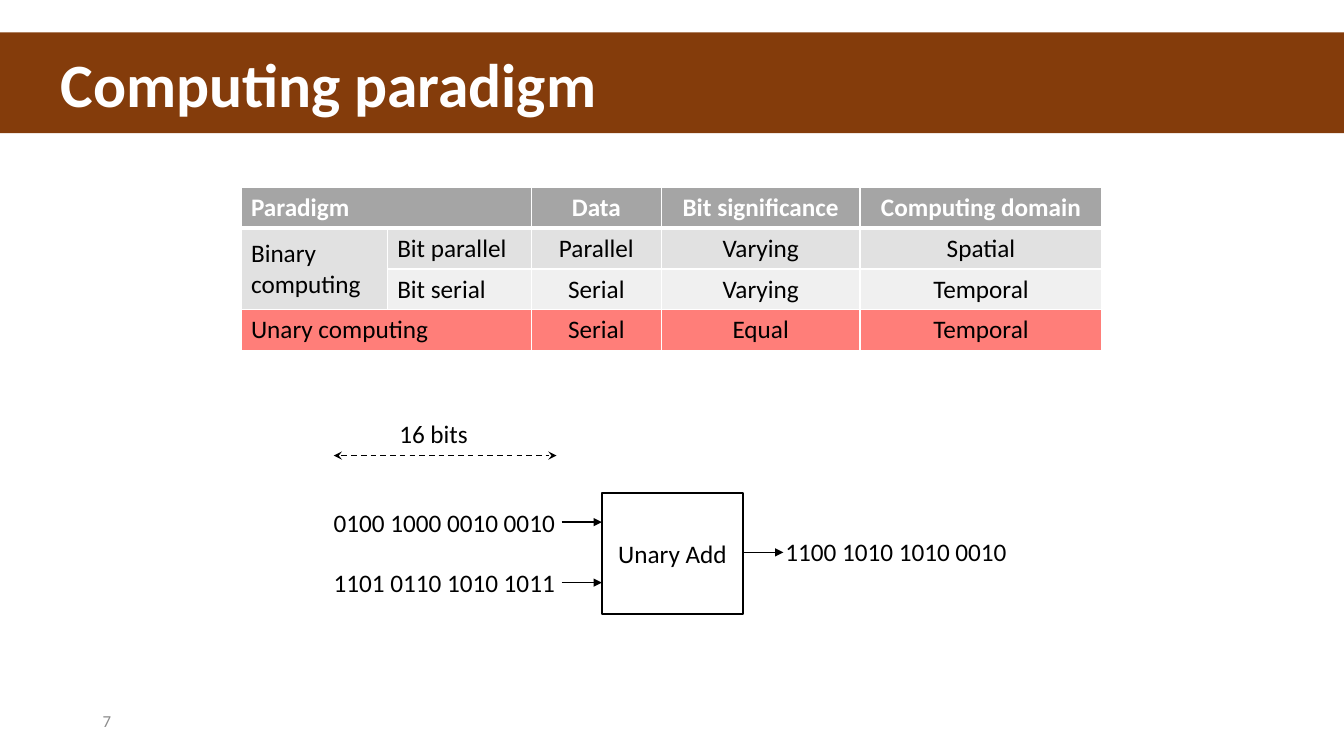
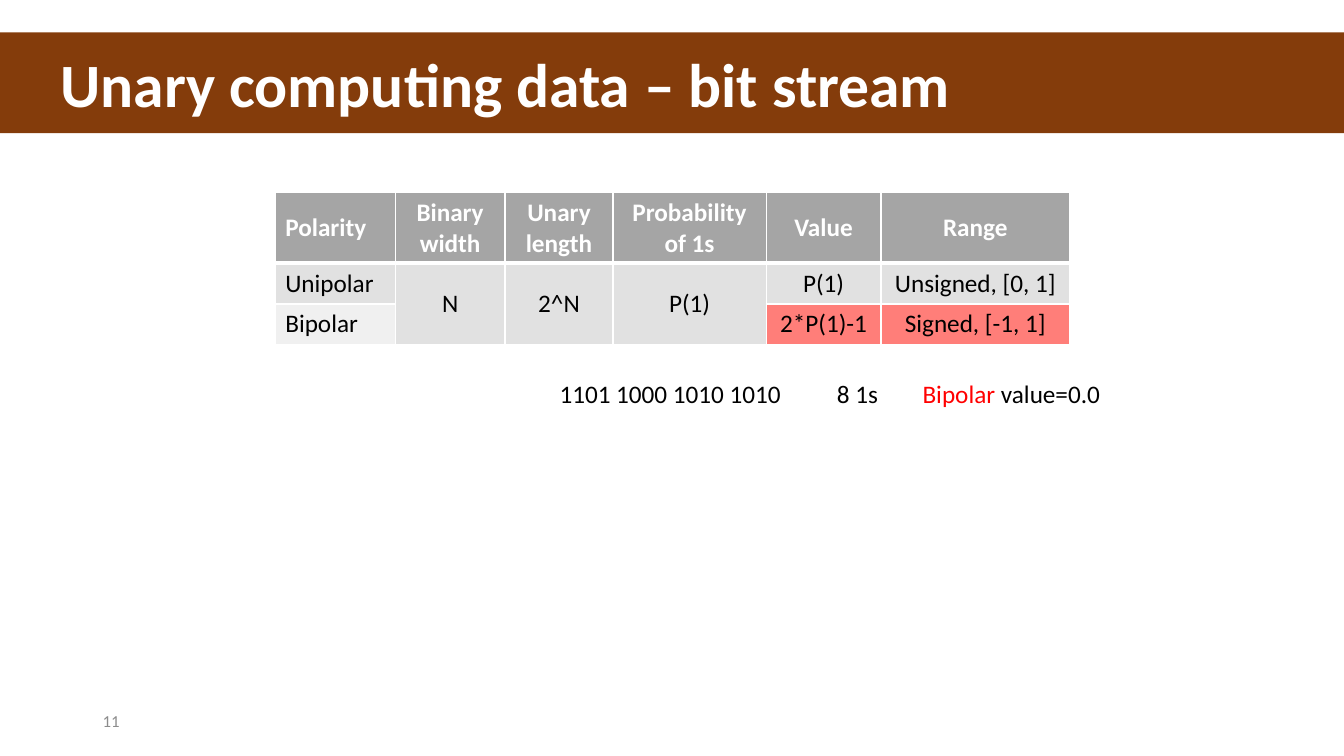
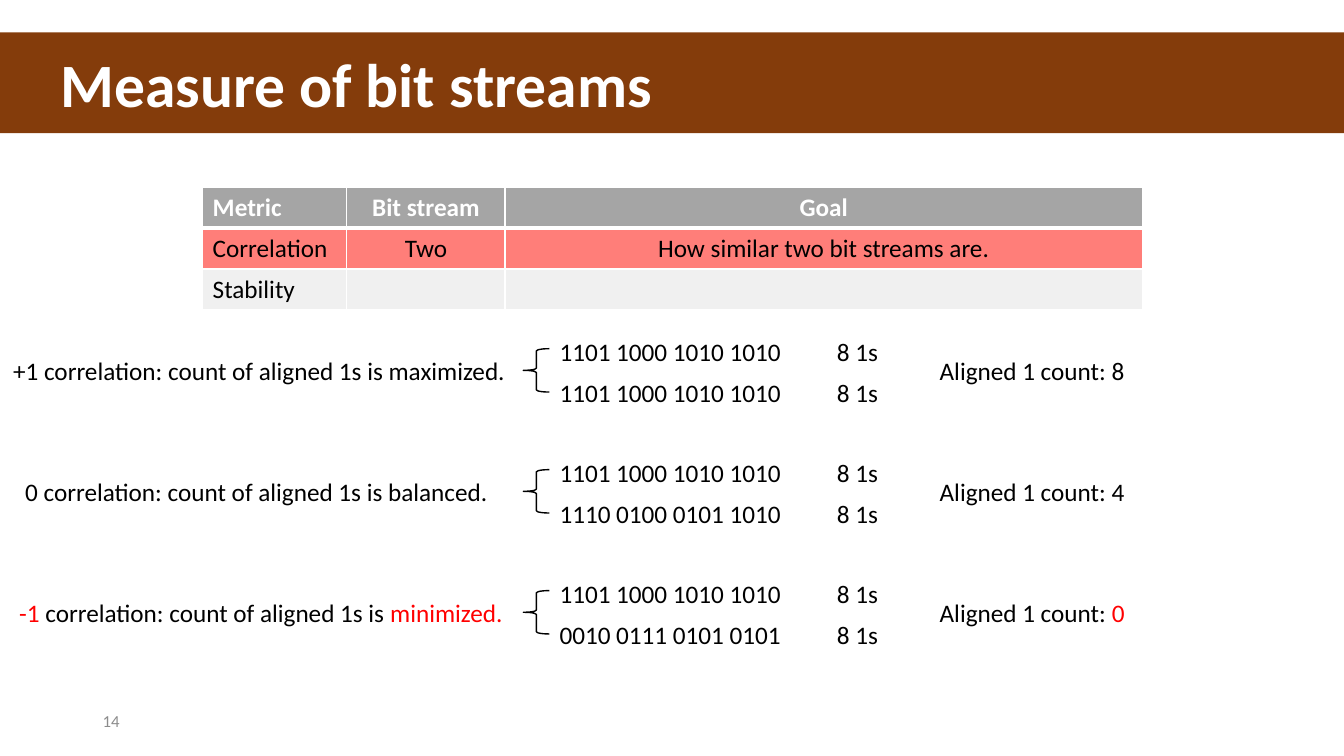
"""Build three slides on unary computing and its bit streams."""
from dataclasses import dataclass, field

from lxml.etree import SubElement
from pptx import Presentation
from pptx.dml.color import RGBColor
from pptx.enum.dml import MSO_LINE_DASH_STYLE as Dash
from pptx.enum.shapes import MSO_CONNECTOR, MSO_SHAPE as Preset
from pptx.enum.text import MSO_ANCHOR as Anchor, MSO_AUTO_SIZE as AutoSize, PP_ALIGN as Align
from pptx.oxml.ns import qn
from pptx.util import Inches, Pt

BROWN = RGBColor(0x84, 0x3C, 0x0B)
WHITE = RGBColor(0xFF, 0xFF, 0xFF)
BLACK = RGBColor(0x00, 0x00, 0x00)
RED = RGBColor(0xFF, 0x00, 0x00)
NUMBER_GRAY = RGBColor(0x8C, 0x8C, 0x8C)
HEADER_GRAY = RGBColor(0xA5, 0xA5, 0xA5)
ODD_GRAY = RGBColor(0xE1, 0xE1, 0xE1)
EVEN_GRAY = RGBColor(0xF0, 0xF0, 0xF0)
HIGHLIGHT = RGBColor(0xFF, 0x7E, 0x79)

FONT = "Calibri"
ROW_HEIGHT = 0.405
STREAM_LEFT = 5.55
STREAM_WIDTH = 2.24


@dataclass(frozen=True)
class Span:
    """A piece of text in one colour."""
    text: str
    color: RGBColor = BLACK


@dataclass(frozen=True)
class Grid:
    """A table with its place, wording, merged ranges and highlighted cells."""
    left: float
    top: float
    widths: list[float]
    rows: list[list[str]]
    header_height: float = ROW_HEIGHT
    left_columns: int = 1
    merges: list[tuple[int, int, int, int]] = field(default_factory=list)
    highlights: set[tuple[int, int]] = field(default_factory=set)


@dataclass(frozen=True)
class Comparison:
    """Two bit streams with their correlation and aligned count."""
    left: float
    label: list[Span]
    streams: tuple[str, str]
    count: Span


def style_font(font, size: float, color: RGBColor, bold: bool = False) -> None:
    """Set the shared font with a size and a colour."""
    font.name = FONT
    font.size = Pt(size)
    font.bold = bold
    font.color.rgb = color


def add_page(deck, title: str, number: int):
    """Add a slide with its title band and page number."""
    page = deck.slides.add_slide(deck.slide_layouts[5])
    band = page.shapes.title
    band.left, band.top = Inches(0), Inches(0.32)
    band.width, band.height = deck.slide_width, Inches(1)
    band.fill.solid()
    band.fill.fore_color.rgb = BROWN
    frame = band.text_frame
    frame.text = title
    frame.auto_size = AutoSize.NONE
    frame.vertical_anchor = Anchor.MIDDLE
    frame.margin_left = Inches(0.6)
    para = frame.paragraphs[0]
    para.alignment = Align.LEFT
    style_font(para.runs[0].font, 44, WHITE, True)

    box = page.shapes.add_textbox(Inches(0.92), Inches(6.95), Inches(3), Inches(0.4))
    box.text_frame.text = str(number)
    box.text_frame.word_wrap = True
    box.text_frame.vertical_anchor = Anchor.MIDDLE
    style_font(box.text_frame.paragraphs[0].runs[0].font, 12, NUMBER_GRAY)
    return page


def add_label(page, left: float, top: float, width: float, *spans: Span) -> None:
    """Add one line of text without insets."""
    box = page.shapes.add_textbox(Inches(left), Inches(top), Inches(width), Inches(0.3))
    frame = box.text_frame
    frame.word_wrap = False
    frame.margin_left = frame.margin_right = frame.margin_top = frame.margin_bottom = 0
    para = frame.paragraphs[0]
    for span in spans:
        run = para.add_run()
        run.text = span.text
        style_font(run.font, 18, span.color)


def add_borders(cell, row: int) -> None:
    """Draw white cell borders, thick below the header row."""
    properties = cell._tc.get_or_add_tcPr()
    for side in "LRTB":
        thick = (row, side) in {(0, "B"), (1, "T")}
        line = SubElement(properties, qn(f"a:ln{side}"), w=str(Pt(3 if thick else 1)))
        fill = SubElement(line, qn("a:solidFill"))
        SubElement(fill, qn("a:srgbClr"), val=str(WHITE))


def add_grid(page, grid: Grid) -> None:
    """Add a table with header, banding, highlights and merged cells."""
    heights = [grid.header_height] + [ROW_HEIGHT] * (len(grid.rows) - 1)
    table = page.shapes.add_table(
        len(heights), len(grid.widths), Inches(grid.left), Inches(grid.top),
        Inches(sum(grid.widths)), Inches(sum(heights))).table
    for column, width in zip(table.columns, grid.widths):
        column.width = Inches(width)
    for row, height in zip(table.rows, heights):
        row.height = Inches(height)
    for r, texts in enumerate(grid.rows):
        for c, text in enumerate(texts):
            cell = table.cell(r, c)
            add_borders(cell, r)
            cell.fill.solid()
            if r == 0:
                color = HEADER_GRAY
            elif (r, c) in grid.highlights:
                color = HIGHLIGHT
            else:
                color = ODD_GRAY if r % 2 else EVEN_GRAY
            cell.fill.fore_color.rgb = color
            cell.vertical_anchor = Anchor.MIDDLE
            cell.text_frame.text = text
            for para in cell.text_frame.paragraphs:
                para.alignment = Align.LEFT if c < grid.left_columns else Align.CENTER
                style_font(para.font, 18, WHITE if r == 0 else BLACK, r == 0)
                for run in para.runs:
                    style_font(run.font, 18, WHITE if r == 0 else BLACK, r == 0)
    for top, left, bottom, right in grid.merges:
        table.cell(top, left).merge(table.cell(bottom, right))


def add_arrow(page, start: float, end: float, y: float, tip: str = "triangle",
              both_ways: bool = False) -> None:
    """Add a horizontal arrow, dashed when it points both ways."""
    arrow = page.shapes.add_connector(
        MSO_CONNECTOR.STRAIGHT, Inches(start), Inches(y), Inches(end), Inches(y))
    arrow.line.color.rgb = BLACK
    arrow.line.width = Pt(1)
    if both_ways:
        arrow.line.dash_style = Dash.DASH
    line = arrow.line._get_or_add_ln()
    for name in ("a:headEnd", "a:tailEnd") if both_ways else ("a:tailEnd",):
        SubElement(line, qn(name), type=tip)
    SubElement(arrow._element.spPr, qn("a:effectLst"))


def add_outline(page, preset, left: float, top: float, width: float, height: float):
    """Add an unfilled shape with a thin black line."""
    shape = page.shapes.add_shape(
        preset, Inches(left), Inches(top), Inches(width), Inches(height))
    shape.shadow.inherit = False
    shape.fill.background()
    shape.line.color.rgb = BLACK
    shape.line.width = Pt(1)
    return shape


def add_stream(page, top: float, bits: str) -> None:
    """Add a bit stream and its number of ones."""
    add_label(page, STREAM_LEFT, top, STREAM_WIDTH, Span(bits))
    add_label(page, 8.3, top, 0.41, Span(f"{bits.count('1')} 1s"))


def add_comparison(page, top: float, comparison: Comparison) -> None:
    """Add a braced pair of streams with its label and aligned count."""
    add_label(page, comparison.left, top + 0.19, 4.9, *comparison.label)
    add_outline(page, Preset.LEFT_BRACE, 5.19, top + 0.12, 0.26, 0.43)
    for index, bits in enumerate(comparison.streams):
        add_stream(page, top + 0.4 * index, bits)
    add_label(page, 9.32, top + 0.19, 1.86, Span("Aligned 1 count: "), comparison.count)


def build_paradigm(deck) -> None:
    """Build the slide on computing paradigms."""
    page = add_page(deck, "Computing paradigm", 7)
    add_grid(page, Grid(
        2.39, 1.86, [1.45, 1.43, 1.29, 1.97, 2.4],
        [["Paradigm", "", "Data", "Bit significance", "Computing domain"],
         ["Binary computing", "Bit parallel", "Parallel", "Varying", "Spatial"],
         ["", "Bit serial", "Serial", "Varying", "Temporal"],
         ["Unary computing", "", "Serial", "Equal", "Temporal"]],
        left_columns=2,
        merges=[(0, 0, 0, 1), (1, 0, 2, 0), (3, 0, 3, 1)],
        highlights={(3, column) for column in range(5)}))
    add_label(page, 3.96, 4.15, 0.69, Span("16 bits"))
    add_arrow(page, 3.31, 5.52, 4.52, "stealth", both_ways=True)
    for y, bits in ((5.18, "0100 1000 0010 0010"), (5.78, "1101 0110 1010 1011")):
        add_label(page, 3.31, y - 0.15, STREAM_WIDTH, Span(bits))
        add_arrow(page, 5.57, 5.97, y)
    adder = add_outline(page, Preset.RECTANGLE, 5.97, 4.89, 1.4, 1.2)
    adder.text_frame.text = "Unary Add"
    adder.text_frame.vertical_anchor = Anchor.MIDDLE
    para = adder.text_frame.paragraphs[0]
    para.alignment = Align.CENTER
    style_font(para.runs[0].font, 18, BLACK)
    add_arrow(page, 7.37, 7.77, 5.48)
    add_label(page, 7.79, 5.32, STREAM_WIDTH, Span("1100 1010 1010 0010"))


def build_polarity(deck) -> None:
    """Build the slide on unipolar and bipolar streams."""
    page = add_page(deck, "Unary computing data – bit stream", 11)
    add_grid(page, Grid(
        2.73, 1.91, [1.19, 1.09, 1.07, 1.52, 1.14, 1.87],
        [["Polarity", "Binary width", "Unary length", "Probability\nof 1s", "Value", "Range"],
         ["Unipolar", "N", "2^N", "P(1)", "P(1)", "Unsigned, [0, 1]"],
         ["Bipolar", "", "", "", "2*P(1)-1", "Signed, [-1, 1]"]],
        header_height=0.7,
        merges=[(1, column, 2, column) for column in (1, 2, 3)],
        highlights={(2, 4), (2, 5)}))
    add_stream(page, 3.75, "1101 1000 1010 1010")
    add_label(page, 9.15, 3.75, 1.78, Span("Bipolar ", RED), Span("value=0.0"))


def build_measure(deck) -> None:
    """Build the slide on the correlation of streams."""
    page = add_page(deck, "Measure of bit streams", 14)
    add_grid(page, Grid(
        2.01, 1.86, [1.43, 1.57, 6.32],
        [["Metric", "Bit stream", "Goal"],
         ["Correlation", "Two", "How similar two bit streams are."],
         ["Stability", "", ""]],
        highlights={(1, column) for column in range(3)}))
    base = "1101 1000 1010 1010"
    comparisons = [
        Comparison(0.13, [Span("+1 correlation: count of aligned 1s is maximized.")],
                   (base, base), Span("8")),
        Comparison(0.25, [Span("0 correlation: count of aligned 1s is balanced.")],
                   (base, "1110 0100 0101 1010"), Span("4")),
        Comparison(0.19, [Span("-1 ", RED), Span("correlation: count of aligned 1s is "),
                          Span("minimized.", RED)],
                   (base, "0010 0111 0101 0101"), Span("0", RED)),
    ]
    for index, comparison in enumerate(comparisons):
        add_comparison(page, 3.34 + 1.2 * index, comparison)


def main() -> None:
    """Build and save the deck."""
    deck = Presentation()
    deck.slide_width, deck.slide_height = Inches(13.33), Inches(7.5)
    build_paradigm(deck)
    build_polarity(deck)
    build_measure(deck)
    deck.save("out.pptx")


if __name__ == "__main__":
    main()
